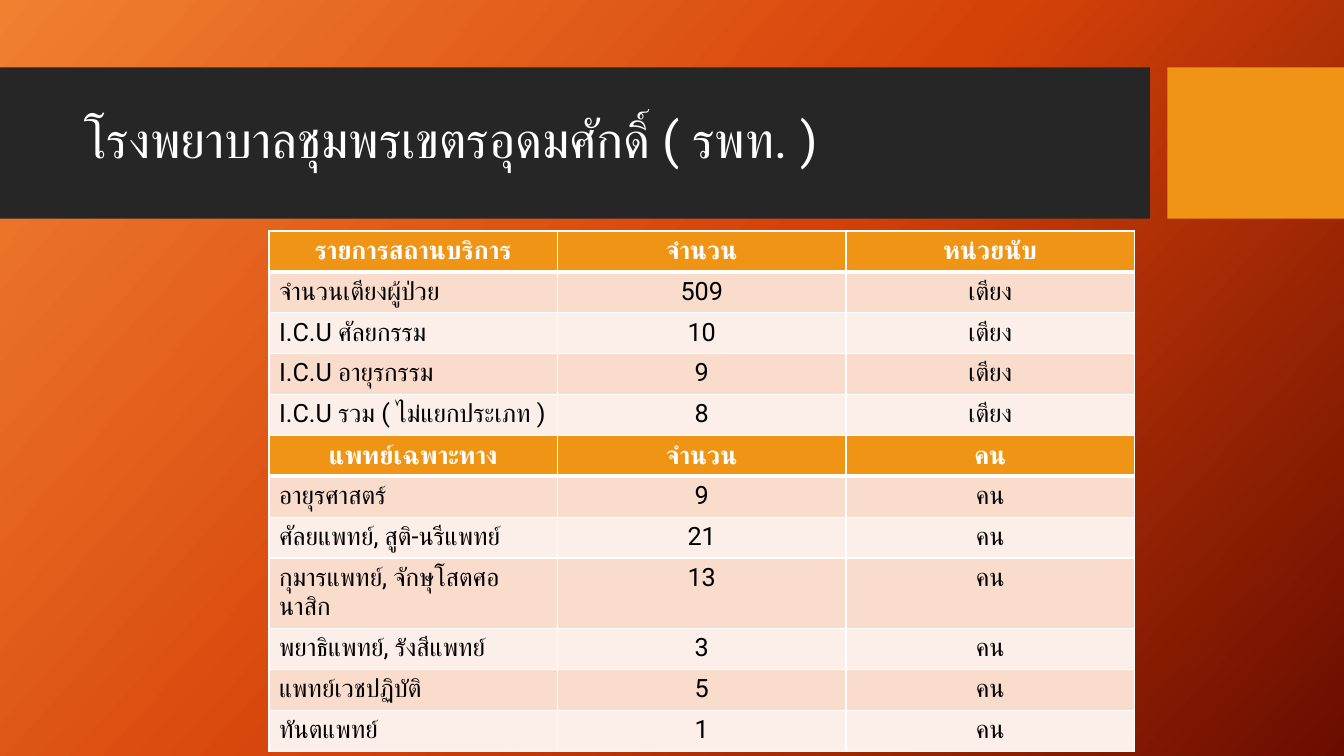
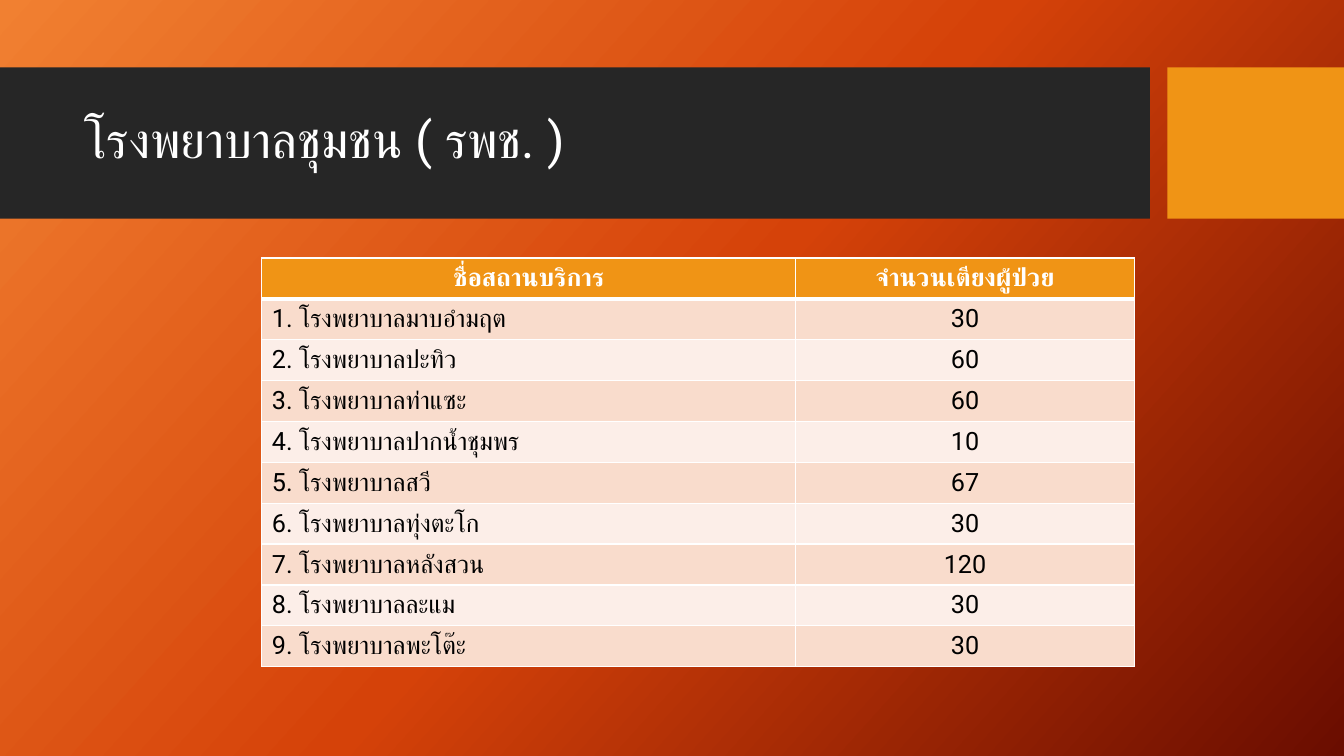
from copy import deepcopy

from lxml.etree import SubElement
from pptx import Presentation
from pptx.dml.color import RGBColor
from pptx.enum.shapes import MSO_SHAPE as SHAPE
from pptx.enum.text import MSO_ANCHOR as ANCHOR, PP_ALIGN as ALIGN
from pptx.oxml.ns import qn
from pptx.util import Cm, Pt

FONT = "Roboto"
WHITE, BLACK, DARK, ACCENT = "FFFFFF", "000000", "262626", "F09415"
ROW_FILLS = ("FCEEE8", "F9DCCC")
BACKGROUND = ((0, "F18031"), (0.5, "D54209"), (1, "6A0D00"))
SLIDE_W, SLIDE_H = 33.87, 19.05
BAND_TOP, BAND_H = 1.7, 3.81
ROW_H = 1.03

BEDS = [
    ("รายการสถานบริการ", "จำนวน", "หน่วยนับ"),
    ("จำนวนเตียงผู้ป่วย", "509", "เตียง"),
    ("I.C.U ศัลยกรรม", "10", "เตียง"),
    ("I.C.U อายุรกรรม", "9", "เตียง"),
    ("I.C.U รวม ( ไม่แยกประเภท )", "8", "เตียง"),
]
DOCTORS = [
    ("แพทย์เฉพาะทาง", "จำนวน", "คน"),
    ("อายุรศาสตร์", "9", "คน"),
    ("ศัลยแพทย์, สูติ-นรีแพทย์", "21", "คน"),
    ("กุมารแพทย์, จักษุโสตศอนาสิก", "13", "คน"),
    ("พยาธิแพทย์, รังสีแพทย์", "3", "คน"),
    ("แพทย์เวชปฏิบัติ", "5", "คน"),
    ("ทันตแพทย์", "1", "คน"),
]
HOSPITALS = [
    ("ชื่อสถานบริการ", "จำนวนเตียงผู้ป่วย"),
    ("1. โรงพยาบาลมาบอำมฤต", "30"),
    ("2. โรงพยาบาลปะทิว", "60"),
    ("3. โรงพยาบาลท่าแซะ", "60"),
    ("4. โรงพยาบาลปากน้ำชุมพร", "10"),
    ("5. โรงพยาบาลสวี", "67"),
    ("6. โรงพยาบาลทุ่งตะโก", "30"),
    ("7. โรงพยาบาลหลังสวน", "120"),
    ("8. โรงพยาบาลละแม", "30"),
    ("9. โรงพยาบาลพะโต๊ะ", "30"),
]


def rgb(value):
    return RGBColor.from_string(value)


def paint_background(s):
    fill = s.background.fill
    fill.gradient()
    fill.gradient_angle = 318
    stop_list = s.element.find(".//" + qn("a:gsLst"))
    stop_list.append(deepcopy(stop_list[-1]))
    for stop, (position, color) in zip(fill.gradient_stops, BACKGROUND):
        stop.position = position
        stop.color.rgb = rgb(color)


def add_block(s, left, width, color):
    """Draw a plain rectangle at the height of the title band."""
    sp = s.shapes.add_shape(SHAPE.RECTANGLE, Cm(left), Cm(BAND_TOP),
                            Cm(width), Cm(BAND_H))
    sp.shadow.inherit = False
    sp.fill.solid()
    sp.fill.fore_color.rgb = rgb(color)
    sp.line.fill.background()


def style_paragraph(p, size, color, bold=False):
    font = p.font
    font.name, font.size, font.bold = FONT, Pt(size), bold
    font.color.rgb = rgb(color)
    # Thai glyphs take the complex-script font
    props = p._p.pPr.find(qn("a:defRPr"))
    SubElement(props, qn("a:cs"), typeface=FONT)


def add_title(s, text):
    tf = s.shapes.add_textbox(Cm(1.88), Cm(BAND_TOP + 0.38),
                              Cm(26.7), Cm(3)).text_frame
    tf.word_wrap = True
    tf.vertical_anchor = ANCHOR.MIDDLE
    p = tf.paragraphs[0]
    p.text = text
    p.line_spacing = 0.9
    style_paragraph(p, 36, WHITE)


def new_slide(prs, title):
    s = prs.slides.add_slide(prs.slide_layouts[6])
    paint_background(s)
    add_block(s, 0, 28.98, DARK)
    add_block(s, 29.42, SLIDE_W - 29.42, ACCENT)
    add_title(s, title)
    return s


def set_borders(cell, widths):
    """Give white borders; widths are points for left, right, top, bottom."""
    props = cell._tc.get_or_add_tcPr()
    for side, width in zip("LRTB", widths):
        ln = SubElement(props, qn(f"a:ln{side}"), w=str(Pt(width)))
        SubElement(SubElement(ln, qn("a:solidFill")), qn("a:srgbClr"), val=WHITE)


def fill_cell(cell, text, row, col, body_anchor):
    header = row == 0
    set_borders(cell, (1, 1, 3 if row == 1 else 1, 3 if header else 1))
    cell.fill.solid()
    cell.fill.fore_color.rgb = rgb(ACCENT if header else ROW_FILLS[row % 2])
    cell.vertical_anchor = ANCHOR.MIDDLE if header else body_anchor
    p = cell.text_frame.paragraphs[0]
    p.text = text
    p.alignment = ALIGN.CENTER if header or col else ALIGN.LEFT
    style_paragraph(p, 18, WHITE if header else BLACK, header)


def add_data_table(s, left, top, widths, rows, body_anchor):
    """Place a table with a header row and return its bottom edge in cm."""
    height = ROW_H * len(rows)
    table = s.shapes.add_table(len(rows), len(widths), Cm(left), Cm(top),
                               Cm(sum(widths)), Cm(height)).table
    for column, width in zip(table.columns, widths):
        column.width = Cm(width)
    for i, texts in enumerate(rows):
        table.rows[i].height = Cm(ROW_H)
        for j, text in enumerate(texts):
            fill_cell(table.cell(i, j), text, i, j, body_anchor)
    return top + height


def general_hospital(prs):
    s = new_slide(prs, "โรงพยาบาลชุมพรเขตรอุดมศักดิ์ ( รพท. )")
    top = 5.82
    for rows in (BEDS, DOCTORS):
        top = add_data_table(s, 6.78, top, [7.27] * 3, rows, ANCHOR.TOP)


def community_hospitals(prs):
    s = new_slide(prs, "โรงพยาบาลชุมชน ( รพช. )")
    add_data_table(s, 6.6, 6.5, [13.45, 8.54], HOSPITALS, ANCHOR.MIDDLE)


def main():
    prs = Presentation()
    prs.slide_width, prs.slide_height = Cm(SLIDE_W), Cm(SLIDE_H)
    general_hospital(prs)
    community_hospitals(prs)
    prs.save("out.pptx")


if __name__ == "__main__":
    main()
